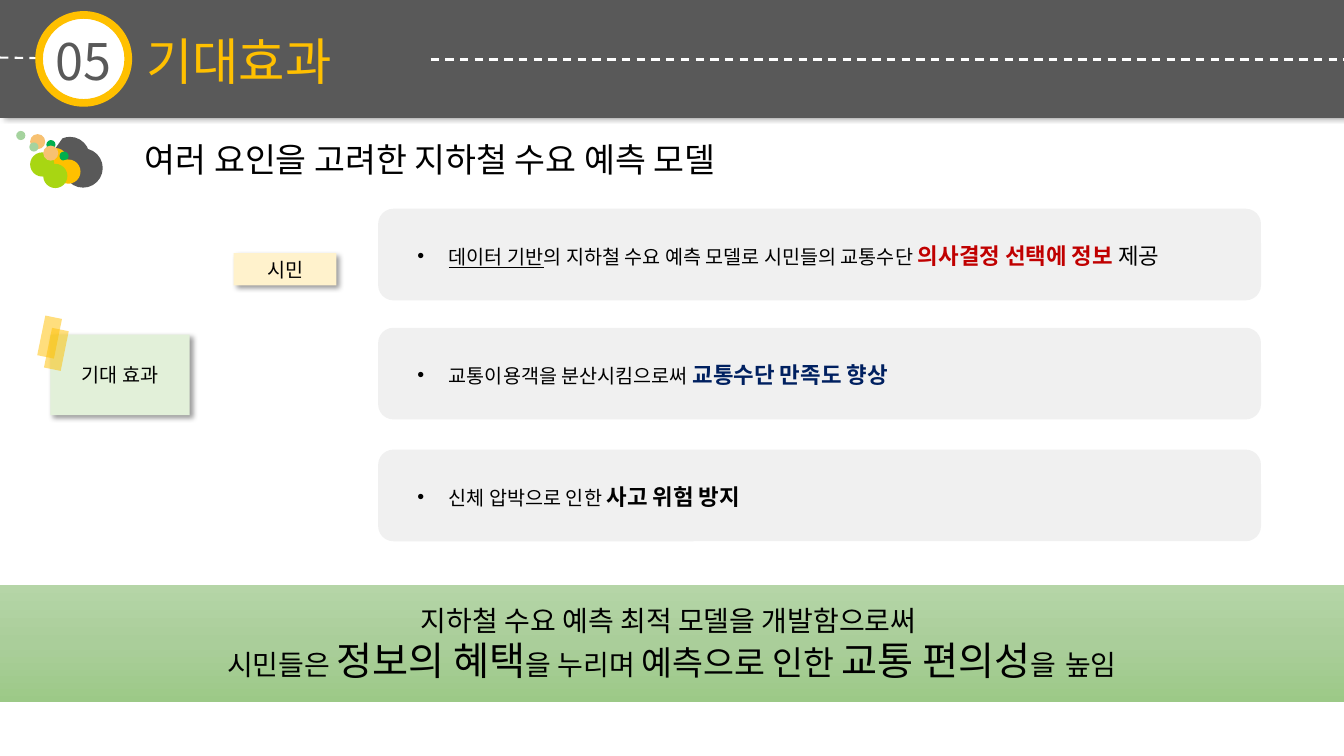
from copy import deepcopy

from lxml import etree
from pptx import Presentation
from pptx.dml.color import RGBColor
from pptx.enum.dml import MSO_LINE
from pptx.enum.shapes import MSO_CONNECTOR, MSO_SHAPE
from pptx.enum.text import MSO_ANCHOR, MSO_AUTO_SIZE, PP_ALIGN
from pptx.oxml.ns import qn
from pptx.util import Cm, Pt

RECT, ROUND = MSO_SHAPE.RECTANGLE, MSO_SHAPE.ROUNDED_RECTANGLE
OVAL, DONUT, CHORD = MSO_SHAPE.OVAL, MSO_SHAPE.DONUT, MSO_SHAPE.CHORD
STRAIGHT, DASH = MSO_CONNECTOR.STRAIGHT, MSO_LINE.DASH
TOP, MIDDLE = MSO_ANCHOR.TOP, MSO_ANCHOR.MIDDLE
GROW, FIXED = MSO_AUTO_SIZE.SHAPE_TO_FIT_TEXT, MSO_AUTO_SIZE.NONE
LEFT, CENTER, JUSTIFY = PP_ALIGN.LEFT, PP_ALIGN.CENTER, PP_ALIGN.JUSTIFY

THEME = {
    "font": "Noto Sans CJK KR",
    "black": "000000", "white": "FFFFFF", "grey": "595959", "amber": "FFC000",
    "peach": "F7C172", "mint": "A5D39E", "green": "00AE4D", "lime": "A8D612",
    "cream": "FFF2CC", "sage": "E2F0D9", "card": "F0F0F0",
    "navy": "002060", "red": "C00000",
    "banner": [(0, "B5D5A7"), (0.5, "AACE9A"), (1, "9CC987")],
    "title": 36, "heading": 24, "big": 28, "mid": 24, "lead": 20, "strong": 16, "body": 14,
}

NUMBER = "05"
TITLE = "기대효과"
HEADING = "여러 요인을 고려한 지하철 수요 예측 모델"
LABELS = [
    ("시민", "cream", (5.89, 6.38, 2.59, 0.81)),
    ("기대 효과", "sage", (1.27, 8.43, 3.51, 2.03)),
]
CARDS = [
    (5.26, [("데이터 기반", "body", {"underline": True}),
            ("의 지하철 수요 예측 모델로 시민들의 교통수단 ", "body", {}),
            ("의사결정 선택에 정보 ", "strong", {"bold": True, "color": "red"}),
            ("제공", "strong", {})]),
    (8.26, [("교통이용객을 분산시킴으로써 ", "body", {}),
            ("교통수단 만족도 향상", "strong", {"bold": True, "color": "navy"})]),
    (11.33, [("신체 압박으로 인한 ", "body", {}),
             ("사고 위험 방지", "strong", {"bold": True})]),
]
BANNER = [
    [("지하철 수요 예측 최적 모델을 개발함으로써 ", "lead", {})],
    [("시민들은 ", "lead", {}), ("정보의 혜택", "big", {}), ("을 누리며 ", "lead", {}),
     ("예측으로 인한 ", "mid", {}), ("교통 편의성", "big", {}), ("을", "lead", {}),
     (" ", "big", {}), ("높임", "lead", {})],
]
DOTS = [
    (OVAL, 0.76, 3.38, 0.38, "peach"), (OVAL, 0.41, 3.3, 0.23, "mint"),
    (CHORD, 1.27, 3.45, 0.99, "grey"), (OVAL, 1.17, 3.53, 0.23, "green"),
    (OVAL, 1.09, 3.73, 0.61, "amber"), (OVAL, 0.76, 3.84, 0.61, "lime"),
]
DOT_SHIFTS = [(0, 0), (0.33, 0.29)]
CHORD_ANGLES = [148.33, 109.5]
TAPES = [(0.74, 8.28), (0.91, 8.59)]
DASHES = [(10.85, 1.5, 33.87, 1.5), (0, 1.45, 3.33, 1.5)]
WIDTH, HEIGHT, BAND = 33.87, 19.05, 2.97


def rgb(name):
    return RGBColor.from_string(THEME[name])


def sub(parent, tag, **attrs):
    return etree.SubElement(parent, qn(tag), {k: str(v) for k, v in attrs.items()})


def apply(target, values):
    for name, value in values.items():
        setattr(target, name, value)


def add_runs(p, runs):
    for text, size, look in runs:
        r = p.add_run()
        r.text = text
        look = dict(look)
        r.font.color.rgb = rgb(look.pop("color", "black"))
        apply(r.font, {"name": THEME["font"], "size": Pt(THEME[size]), **look})
        sub(r.font._element, "a:ea", typeface=THEME["font"])


def write(sp, lines, align, **frame):
    tf = sp.text_frame
    apply(tf, {"word_wrap": True, "vertical_anchor": MIDDLE, **frame})
    for i, runs in enumerate(lines):
        p = tf.add_paragraph() if i else tf.paragraphs[0]
        p.alignment = align
        add_runs(p, runs)
    return tf.paragraphs[0]


def add_shape(s, kind, box, color=None):
    sp = s.shapes.add_shape(kind, *map(Cm, box))
    sp.shadow.inherit = False
    sp.line.fill.background()
    if color:
        sp.fill.solid()
        sp.fill.fore_color.rgb = rgb(color)
    return sp


def add_shadow(sp, degrees):
    effects = sp.element.spPr.find(qn("a:effectLst"))
    shadow = sub(effects, "a:outerShdw", blurRad=Pt(4), dist=Pt(3),
                 dir=degrees * 60000, algn="tl", rotWithShape=0)
    sub(sub(shadow, "a:srgbClr", val=THEME["black"]), "a:alpha", val=40000)


def add_dash(s, ends):
    line = s.shapes.add_connector(STRAIGHT, *map(Cm, ends))
    line.line.color.rgb = rgb("white")
    apply(line.line, {"width": Pt(1.5), "dash_style": DASH})
    sub(line.element.spPr, "a:effectLst")
    return line


def add_header(s):
    add_shadow(add_shape(s, RECT, (0, 0, WIDTH, BAND), "grey"), 0)
    for ends in DASHES:
        add_dash(s, ends)
    add_shape(s, OVAL, (0.97, 0.36, 2.26, 2.21), "white")
    ring = add_shape(s, DONUT, (0.89, 0.28, 2.44, 2.41), "amber")
    ring.adjustments[0] = 0.08
    number = s.shapes.add_textbox(*map(Cm, (1.14, 0.64, 1.98, 1.8)))
    write(number, [[(NUMBER, "title", {"color": "grey"})]], LEFT,
          word_wrap=False, vertical_anchor=TOP, auto_size=GROW)
    title = s.shapes.title
    apply(title, {"left": Cm(3.43), "top": Cm(0.64), "width": Cm(10.31), "height": Cm(1.8)})
    write(title, [[(TITLE, "title", {"color": "amber"})]], LEFT,
          vertical_anchor=TOP, auto_size=GROW)
    number.element.addnext(title.element)


def add_heading(s):
    for dx, dy in DOT_SHIFTS:
        for kind, x, y, size, color in DOTS:
            dot = add_shape(s, kind, (x + dx, y + dy, size, size), color)
            if kind == CHORD:
                for i, angle in enumerate(CHORD_ANGLES):
                    dot.adjustments[i] = angle
    heading = s.shapes.add_textbox(*map(Cm, (2.46, 3.38, 16.76, 1.27)))
    write(heading, [[(HEADING, "heading", {})]], CENTER,
          word_wrap=False, vertical_anchor=TOP, auto_size=GROW)


def add_labels(s):
    for text, color, box in LABELS:
        label = add_shape(s, RECT, box, color)
        add_shadow(label, 45)
        write(label, [[(text, "body", {})]], CENTER)
    for x, y in TAPES:
        tape = add_shape(s, RECT, (x, y, 1.02, 0.43), "amber")
        tape.rotation = 101.5
        sub(tape.element.spPr.find(".//" + qn("a:srgbClr")), "a:alpha", val=51000)


def add_cards(s):
    for top, runs in CARDS:
        card = add_shape(s, ROUND, (9.53, top, 22.25, 2.31), "card")
        p = write(card, [runs], JUSTIFY, auto_size=FIXED)
        apply(p, {"line_spacing": 1.07, "space_after": Pt(8)})
        pPr = p._p.get_or_add_pPr()
        pPr.set("marL", str(Cm(1.42)))
        pPr.set("indent", str(Cm(-0.79)))
        sub(pPr, "a:buFont", typeface="Arial")
        sub(pPr, "a:buChar", char="•")


def add_banner(s):
    banner = add_shape(s, RECT, (0, 14.73, WIDTH, BAND))
    banner.fill.gradient()
    banner.fill.gradient_angle = 270
    first = banner.element.spPr.find(".//" + qn("a:gs"))
    first.addnext(deepcopy(first))
    for stop, (position, color) in zip(banner.fill.gradient_stops, THEME["banner"]):
        stop.position = position
        stop.color.rgb = RGBColor.from_string(color)
    write(banner, BANNER, CENTER)


def main():
    prs = Presentation()
    apply(prs, {"slide_width": Cm(WIDTH), "slide_height": Cm(HEIGHT)})
    s = prs.slides.add_slide(prs.slide_layouts[5])
    for add_part in (add_header, add_heading, add_labels, add_cards, add_banner):
        add_part(s)
    prs.save("out.pptx")


if __name__ == "__main__":
    main()
